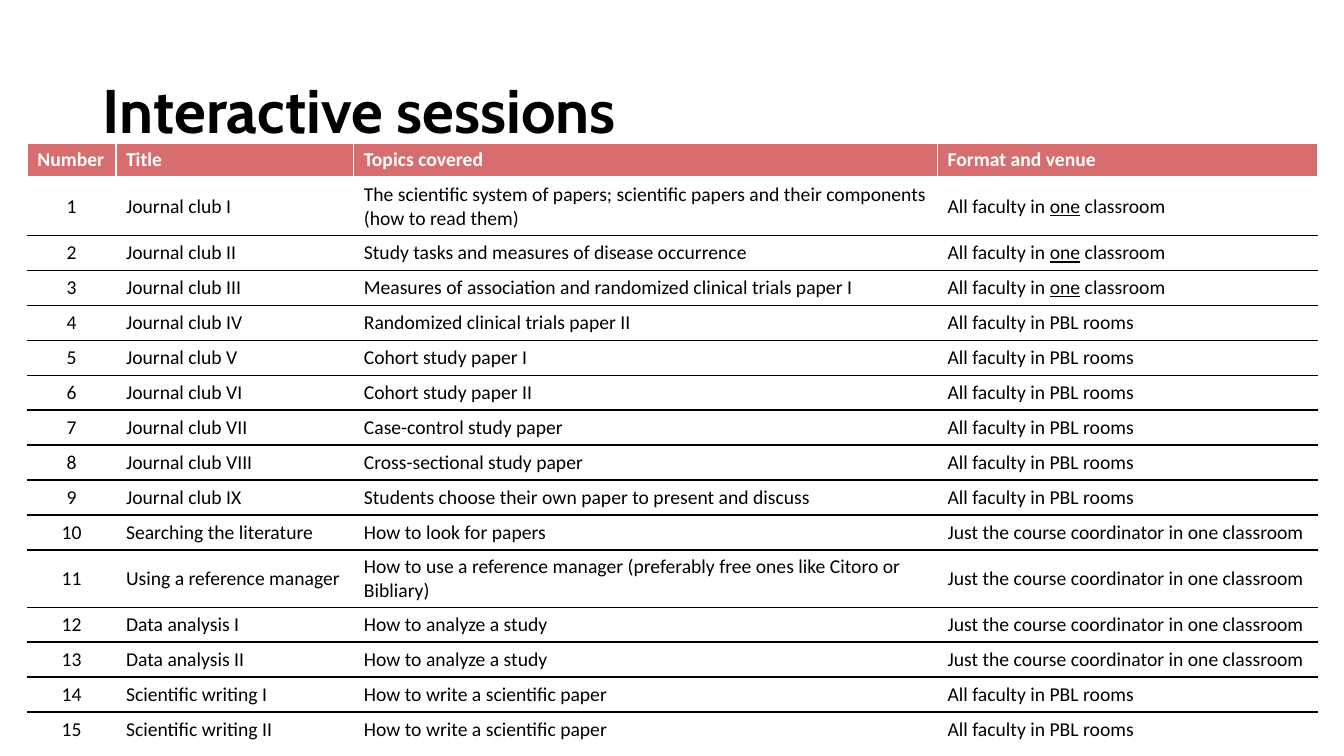
from lxml import etree
from pptx import Presentation
from pptx.dml.color import RGBColor
from pptx.enum.text import MSO_ANCHOR, PP_ALIGN
from pptx.oxml.ns import qn
from pptx.util import Inches, Pt

CENTER, LEFT = PP_ALIGN.CENTER, PP_ALIGN.LEFT
MIDDLE, TOP = MSO_ANCHOR.MIDDLE, MSO_ANCHOR.TOP
COLORS = {"black": "000000", "white": "FFFFFF", "header": "D76D6F"}

CLASSROOM = "All faculty in _one_ classroom"
PBL = "All faculty in PBL rooms"
COORDINATOR = "Just the course coordinator in one classroom"
HEADER = ("Number", "Title", "Topics covered", "Format and venue")
SESSIONS = [
    ("Journal club I", "The scientific system of papers; scientific papers and their components "
                       "(how to read them)", CLASSROOM),
    ("Journal club II", "Study tasks and measures of disease occurrence", CLASSROOM),
    ("Journal club III", "Measures of association and randomized clinical trials paper I", CLASSROOM),
    ("Journal club IV", "Randomized clinical trials paper II", PBL),
    ("Journal club V", "Cohort study paper I", PBL),
    ("Journal club VI", "Cohort study paper II", PBL),
    ("Journal club VII", "Case-control study paper", PBL),
    ("Journal club VIII", "Cross-sectional study paper", PBL),
    ("Journal club IX", "Students choose their own paper to present and discuss", PBL),
    ("Searching the literature", "How to look for papers", COORDINATOR),
    ("Using a reference manager", "How to use a reference manager (preferably free ones like Citoro or "
                                  "Bibliary)", COORDINATOR),
    ("Data analysis I", "How to analyze a study", COORDINATOR),
    ("Data analysis II", "How to analyze a study", COORDINATOR),
    ("Scientific writing I", "How to write a scientific paper", PBL),
    ("Scientific writing II", "How to write a scientific paper", PBL),
]


class Deck:
    """Slide builder whose lengths are percentages of the slide's width and height."""

    def __init__(self):
        self.prs = Presentation()
        self.prs.slide_width, self.prs.slide_height = Inches(13.33), Inches(7.5)
        self.s = self.prs.slides.add_slide(self.prs.slide_layouts[6])
        self.heading_font, self.body_font = "Cabin", "Calibri"

    def x(self, percent):
        return round(self.prs.slide_width * percent / 100)

    def y(self, percent):
        return round(self.prs.slide_height * percent / 100)

    def box(self, left, top, width, height):
        return self.x(left), self.y(top), self.x(width), self.y(height)

    def style(self, r, font, size, color, bold):
        r.font.name, r.font.size, r.font.bold = font, Pt(size), bold
        r.font.color.rgb = RGBColor.from_string(COLORS[color])

    def title(self, text, *area):
        tf = self.s.shapes.add_textbox(*self.box(*area)).text_frame
        tf.word_wrap = True
        tf.vertical_anchor = MIDDLE
        tf.text = text
        p = tf.paragraphs[0]
        p.line_spacing = 0.9
        self.style(p.runs[0], self.heading_font, 44, "black", True)

    def border(self, cell, side, color, width):
        tc_pr = cell._tc.get_or_add_tcPr()
        ln = etree.SubElement(tc_pr, qn(f"a:ln{side}"), w=str(Pt(width)))
        fill = etree.SubElement(ln, qn("a:solidFill"))
        etree.SubElement(fill, qn("a:srgbClr"), val=COLORS[color])

    def cell(self, cell, text, row, last, align):
        header = row == 0
        self.border(cell, "L", "white", 1)
        self.border(cell, "R", "white", 1)
        self.border(cell, "T", "black" if row > 1 else "white", 3 if row == 1 else 1)
        if not last:
            self.border(cell, "B", "white" if header else "black", 3 if header else 1)
        cell.fill.solid()
        cell.fill.fore_color.rgb = RGBColor.from_string(COLORS["header" if header else "white"])
        cell.vertical_anchor = TOP if header else MIDDLE
        p = cell.text_frame.paragraphs[0]
        p.alignment = align
        for i, part in enumerate(text.split("_")):
            r = p.add_run()
            r.text = part
            self.style(r, self.body_font, 14, "white" if header else "black", header)
            r.font.underline = i % 2 == 1

    def table(self, rows, widths, left, top, height):
        area = self.box(left, top, sum(widths), height)
        table = self.s.shapes.add_table(len(rows), len(widths), *area).table
        table.horz_banding = False
        for column, width in zip(table.columns, widths):
            column.width = self.x(width)
        for i, row in enumerate(rows):
            for j, text in enumerate(row):
                align = CENTER if i and j == 0 else LEFT
                self.cell(table.cell(i, j), text, i, i == len(rows) - 1, align)


def main():
    deck = Deck()
    deck.title("Interactive sessions", 6.9, 5.33, 86.25, 19.33)
    rows = [HEADER] + [(str(n), *session) for n, session in enumerate(SESSIONS, 1)]
    deck.table(rows, (6.6, 17.7, 43.43, 28.27), 2.03, 18.93, 74)
    deck.prs.save("out.pptx")


if __name__ == "__main__":
    main()
